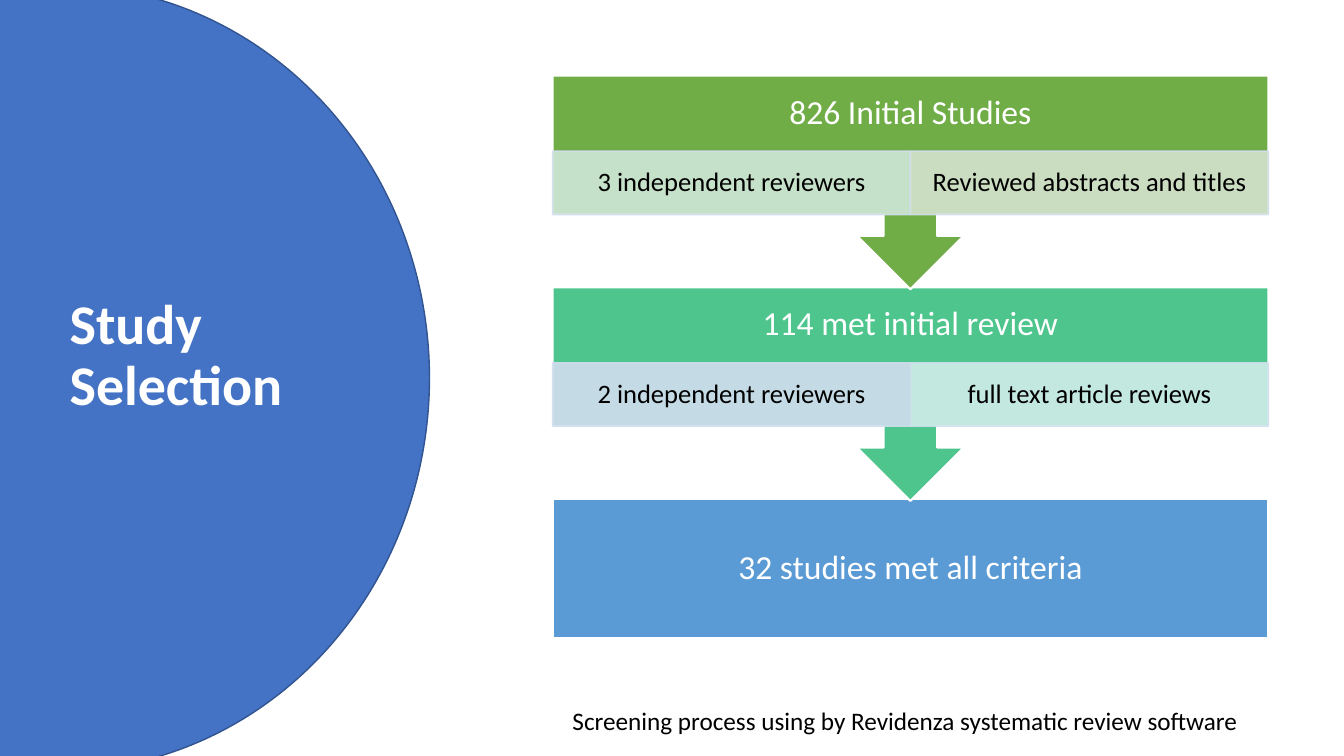
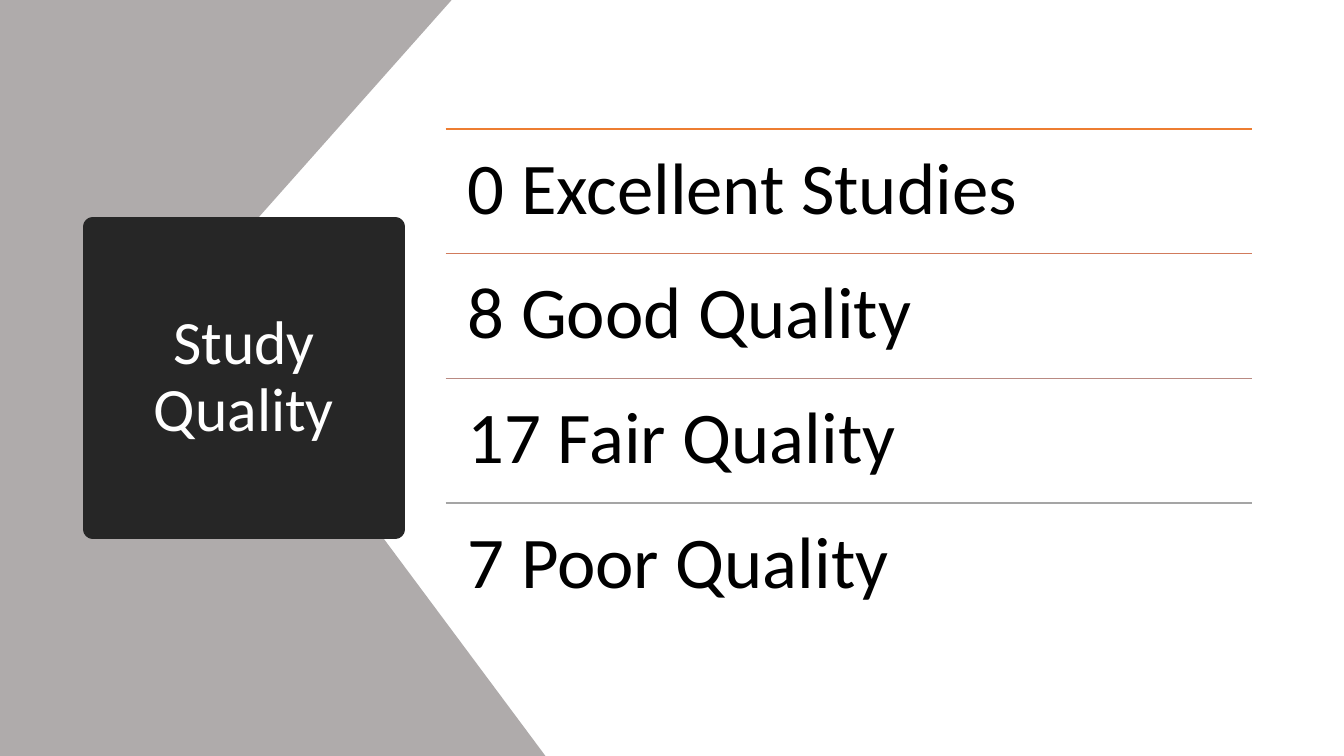
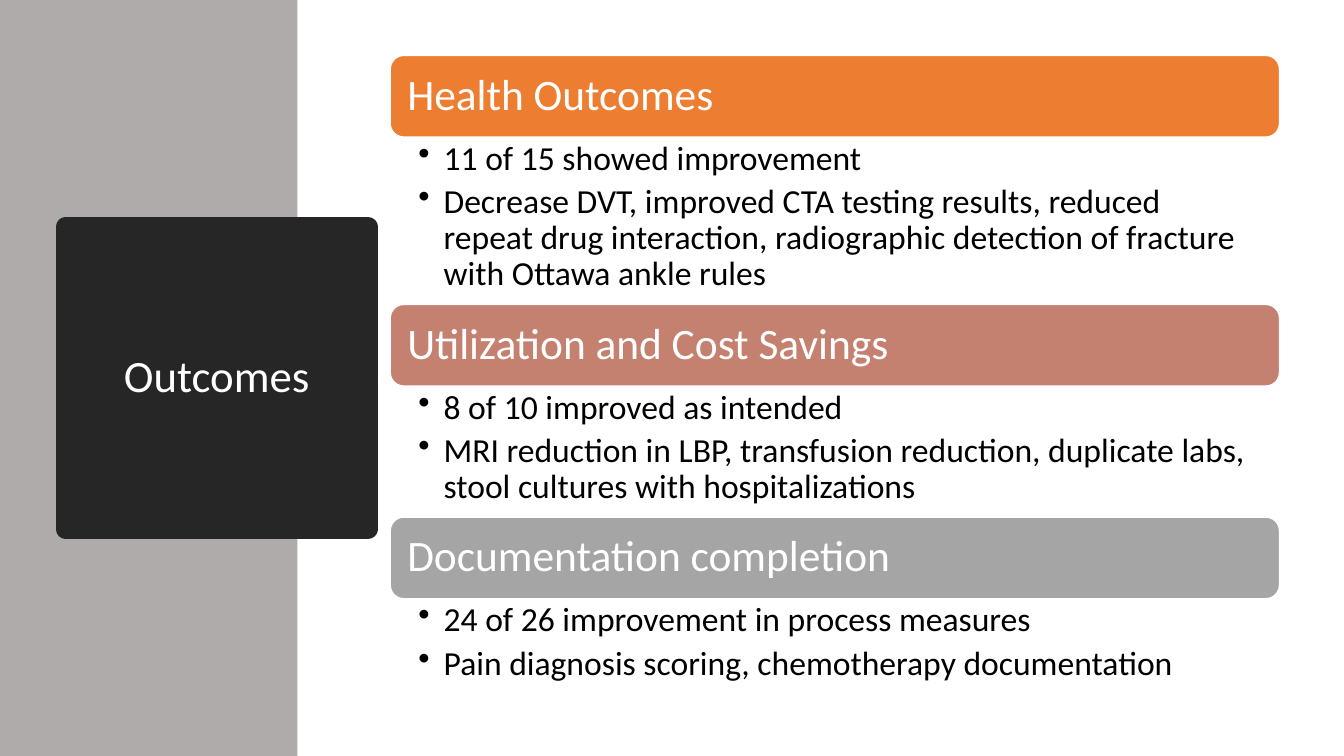
from lxml import etree
from pptx import Presentation
from pptx.dml.color import RGBColor
from pptx.enum.shapes import MSO_CONNECTOR, MSO_SHAPE
from pptx.enum.text import MSO_ANCHOR, MSO_AUTO_SIZE, PP_ALIGN
from pptx.oxml.ns import qn
from pptx.util import Inches, Pt

RECTANGLE, ROUNDED = MSO_SHAPE.RECTANGLE, MSO_SHAPE.ROUNDED_RECTANGLE
ELLIPSE, CALLOUT = MSO_SHAPE.OVAL, MSO_SHAPE.DOWN_ARROW_CALLOUT
STRAIGHT = MSO_CONNECTOR.STRAIGHT
LEFT, CENTER = PP_ALIGN.LEFT, PP_ALIGN.CENTER
TOP, MIDDLE = MSO_ANCHOR.TOP, MSO_ANCHOR.MIDDLE
FIXED_SIZE = MSO_AUTO_SIZE.NONE

FONT = "Calibri"
TITLE_ONLY = 5
WIDTH, HEIGHT = 13.33, 7.5

WHITE = RGBColor(0xFF, 0xFF, 0xFF)
BLACK = RGBColor(0x00, 0x00, 0x00)
CHARCOAL = RGBColor(0x26, 0x26, 0x26)
WARM_GREY = RGBColor(0xAF, 0xAB, 0xAB)
GREY = RGBColor(0xA5, 0xA5, 0xA5)
BLUE = RGBColor(0x44, 0x72, 0xC4)
DARK_BLUE = RGBColor(0x32, 0x54, 0x91)
SKY = RGBColor(0x5B, 0x9B, 0xD5)
PALE_BLUE = RGBColor(0xD2, 0xDE, 0xEF)
TEAL = RGBColor(0x4D, 0xC5, 0x8D)
PALE_TEAL = RGBColor(0xD0, 0xEC, 0xEA)
GREEN = RGBColor(0x70, 0xAD, 0x47)
PALE_GREEN = RGBColor(0xD0, 0xE7, 0xD8)
PALE_OLIVE = RGBColor(0xD5, 0xE3, 0xCF)
ORANGE = RGBColor(0xED, 0x7D, 0x31)
COPPER = RGBColor(0xD1, 0x7B, 0x5C)
ROSE = RGBColor(0xB9, 0x8A, 0x82)
CLAY = RGBColor(0xC4, 0x81, 0x70)

STAGES = [
    ("826 Initial Studies", GREEN,
     [("3 independent reviewers", PALE_GREEN),
      ("Reviewed abstracts and titles", PALE_OLIVE)]),
    ("114 met initial review", TEAL,
     [("2 independent reviewers", PALE_BLUE),
      ("full text article reviews", PALE_TEAL)]),
    ("32 studies met all criteria", SKY, []),
]
SCREENING_NOTE = "Screening process using by Revidenza systematic review software"

RATINGS = [
    ("0 Excellent Studies", ORANGE),
    ("8 Good Quality", COPPER),
    ("17 Fair Quality", ROSE),
    ("7 Poor Quality", GREY),
]

OUTCOMES = [
    ("Health Outcomes", ORANGE, 1.66,
     ["11 of 15 showed improvement",
      "Decrease DVT, improved CTA testing results, reduced repeat drug "
      "interaction, radiographic detection of fracture with Ottawa ankle rules"]),
    ("Utilization and Cost Savings", CLAY, 1.3,
     ["8 of 10 improved as intended",
      "MRI reduction in LBP, transfusion reduction, duplicate labs, "
      "stool cultures with hospitalizations"]),
    ("Documentation completion", GREY, 0.91,
     ["24 of 26 improvement in process measures",
      "Pain diagnosis scoring, chemotherapy documentation"]),
]


def write(shape, *texts, size, color=BLACK, bold=False, align=LEFT, anchor=TOP,
          insets=(0.1, 0.05, 0.1, 0.05), spacing=0.9, bullet=None):
    """Fill a shape with one paragraph per text."""
    frame = shape.text_frame
    frame.word_wrap = True
    frame.auto_size = FIXED_SIZE
    frame.vertical_anchor = anchor
    (frame.margin_left, frame.margin_top,
     frame.margin_right, frame.margin_bottom) = map(Inches, insets)
    for index, text in enumerate(texts):
        para = frame.add_paragraph() if index else frame.paragraphs[0]
        para.alignment = align
        para.line_spacing = spacing
        if bullet:
            para.space_after = Pt(5)
            properties = para._p.get_or_add_pPr()
            properties.set("marL", str(Inches(0.25)))
            properties.set("indent", str(Inches(-0.25)))
            etree.SubElement(properties, qn("a:buChar"), char=bullet)
        span = para.add_run()
        span.text = text
        span.font.name, span.font.size = FONT, Pt(size)
        span.font.bold, span.font.color.rgb = bold, color


def paint(shape, fill, line=None, line_width=1):
    shape.fill.solid()
    shape.fill.fore_color.rgb = fill
    if line is None:
        shape.line.fill.background()
    else:
        shape.line.color.rgb = line
        shape.line.width = Pt(line_width)


def add_box(page, kind, place, fill, line=None, line_width=1):
    box = page.shapes.add_shape(kind, *map(Inches, place))
    box.shadow.inherit = False
    paint(box, fill, line, line_width)
    return box


def add_text(page, place, *texts, **style):
    write(page.shapes.add_textbox(*map(Inches, place)), *texts, **style)


def make_translucent(shape, percent):
    for color in shape._element.spPr.iter(qn("a:srgbClr")):
        etree.SubElement(color, qn("a:alpha"), val=str(percent * 1000))


def place_title(page, text, place, **style):
    """Put the title in front of the shapes drawn so far."""
    title = page.shapes.title
    page.shapes._spTree.append(title._element)
    title.left, title.top, title.width, title.height = map(Inches, place)
    write(title, text, color=WHITE, anchor=MIDDLE, **style)
    return title


def place_dark_title(page, text, left, size):
    title = place_title(page, text, (left, 2.25, 3, 3), size=size, align=CENTER)
    paint(title, CHARCOAL, CHARCOAL, 13.75)


def add_rule(page, left, top, width, color):
    rule = page.shapes.add_connector(
        STRAIGHT, *map(Inches, (left, top, left + width, top)))
    rule.line.color.rgb = color
    rule.line.width = Pt(1)
    etree.SubElement(rule._element.spPr, qn("a:effectLst"))


def build_selection(page):
    left, top, width, pitch = 5.48, 0.75, 7.1, 2.1
    body_height, arrow_height, cell_top, cell_height = 1.38, 2.12, 0.75, 0.63
    add_box(page, ELLIPSE, (-3.1, -0.15, 7.36, 7.8), BLUE, DARK_BLUE)
    place_title(page, "Study Selection", (0.59, 0.75, 3.04, 5.58), size=40, bold=True)
    # Later stages go first so that each arrow tip lies over the next stage.
    for index, (heading, color, cells) in reversed(list(enumerate(STAGES))):
        y = top + index * pitch
        kind, height = (CALLOUT, arrow_height) if cells else (RECTANGLE, body_height)
        stage = add_box(page, kind, (left, y, width, height), color, WHITE, 1.5)
        write(stage, heading, size=24, color=WHITE, align=CENTER, anchor=MIDDLE,
              insets=(0.19, 0, 0.19, cell_height if cells else 0))
        for column, (text, fill) in enumerate(cells):
            cell_width = width / len(cells)
            cell = add_box(page, RECTANGLE,
                           (left + column * cell_width, y + cell_top,
                            cell_width, cell_height), fill, PALE_BLUE)
            make_translucent(cell, 90)
            write(cell, text, size=19, align=CENTER, anchor=MIDDLE,
                  insets=(0.15, 0.03, 0.15, 0.03))
    add_text(page, (5.58, 6.95, 7.5, 0.4), SCREENING_NOTE, size=18, spacing=1)


def build_quality(page):
    left, top, width, pitch = 4.42, 1.28, 8, 1.237
    outline = [(0, 0), (4.48, 0), (1.95, 2.85), (5.41, HEIGHT), (0, HEIGHT)]
    points = [(Inches(x), Inches(y)) for x, y in outline]
    builder = page.shapes.build_freeform(*points[0])
    builder.add_line_segments(points[1:])
    wedge = builder.convert_to_shape()
    wedge.shadow.inherit = False
    paint(wedge, WARM_GREY)
    place_dark_title(page, "Study Quality", 0.92, 44)
    for index, (text, color) in enumerate(RATINGS):
        y = top + index * pitch
        add_rule(page, left, y, width, color)
        add_text(page, (left, y, width, pitch), text, size=52, insets=(0.22,) * 4)


def build_outcomes(page):
    left, y, width, header_height = 3.87, 0.55, 8.82, 0.81
    add_box(page, RECTANGLE, (0, 0, 2.95, HEIGHT), WARM_GREY)
    place_dark_title(page, "Outcomes", 0.65, 32)
    for heading, color, body_height, points in OUTCOMES:
        header = add_box(page, ROUNDED, (left, y, width, header_height), color, WHITE)
        write(header, heading, size=31, color=WHITE, anchor=MIDDLE, insets=(0.13,) * 4)
        y += header_height
        add_text(page, (left, y, width, body_height), *points, size=24,
                 insets=(0.28, 0.04, 0.24, 0.04), bullet="•")
        y += body_height


def main():
    deck = Presentation()
    deck.slide_width, deck.slide_height = Inches(WIDTH), Inches(HEIGHT)
    for build in (build_selection, build_quality, build_outcomes):
        build(deck.slides.add_slide(deck.slide_layouts[TITLE_ONLY]))
    deck.save("out.pptx")


if __name__ == "__main__":
    main()
